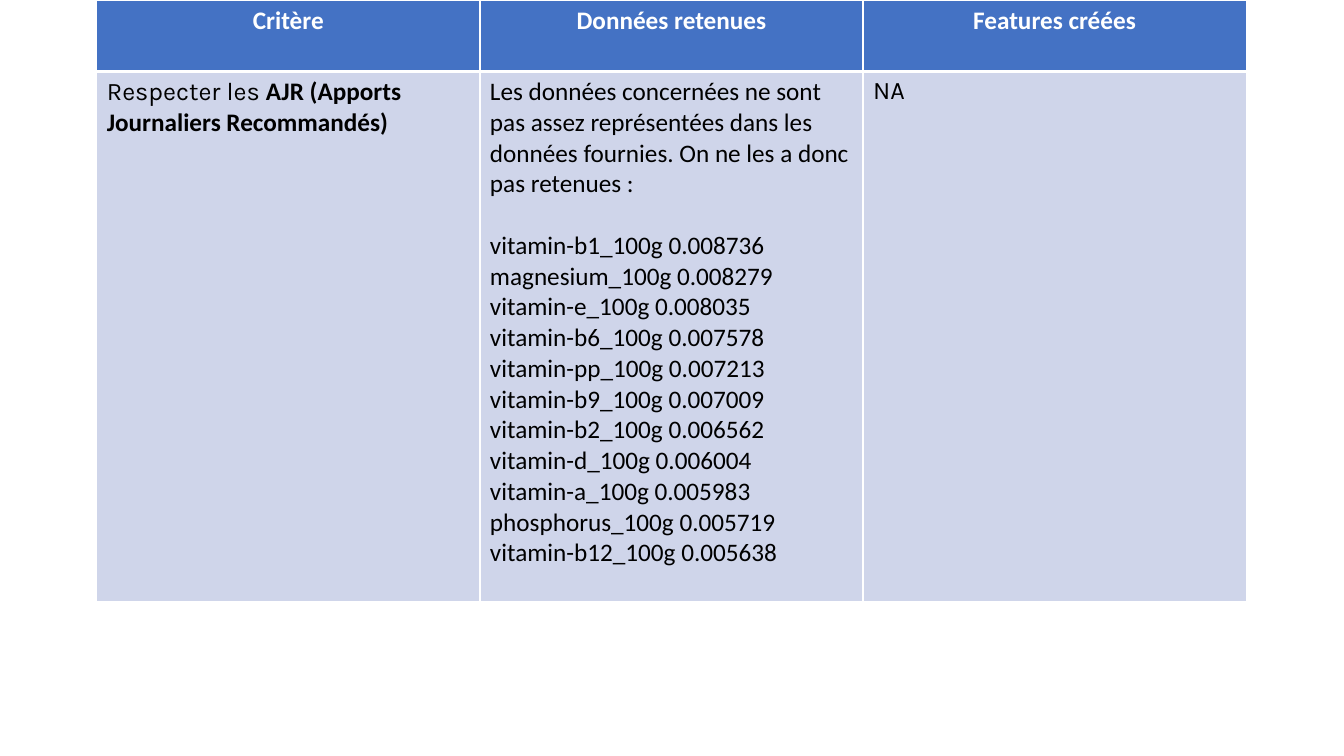
import lxml.etree
import pptx
import pptx.dml.color
import pptx.enum.text
import pptx.oxml.ns
import pptx.util

PX = 9144  # 100 px to the inch
WHITE, BLACK, HEADER_BLUE, ROW_BLUE = "FFFFFF", "000000", "4472C4", "CFD5EA"


def add_text(paragraph, text, font="Calibri", size=18, color=BLACK, bold=False):
    run = paragraph.add_run()
    run.text = text
    run.font.name = font
    run.font.size = pptx.util.Pt(size)
    run.font.bold = bold
    run.font.color.rgb = pptx.dml.color.RGBColor.from_string(color)


def style_cell(cell, fill, top=1, bottom=1):
    """Draw the white borders of a cell, then fill it."""
    properties = cell._tc.get_or_add_tcPr()
    for side, points in (("L", 1), ("R", 1), ("T", top), ("B", bottom)):
        border = lxml.etree.SubElement(
            properties, pptx.oxml.ns.qn(f"a:ln{side}"), w=str(pptx.util.Pt(points)))
        solid = lxml.etree.SubElement(border, pptx.oxml.ns.qn("a:solidFill"))
        lxml.etree.SubElement(solid, pptx.oxml.ns.qn("a:srgbClr"), val=WHITE)
    cell.fill.solid()
    cell.fill.fore_color.rgb = pptx.dml.color.RGBColor.from_string(fill)


# Slide
presentation = pptx.Presentation()
presentation.slide_width = 1333 * PX
presentation.slide_height = 750 * PX
slide = presentation.slides.add_slide(presentation.slide_layouts[6])

# Criteria table
headings = ["Critère", "Données retenues", "Features créées"]
row_heights = [71, 526]
criteria = slide.shapes.add_table(
    2, len(headings), 96 * PX, 0, 1140 * PX, sum(row_heights) * PX).table
for row, height in zip(criteria.rows, row_heights):
    row.height = height * PX

for column, heading in enumerate(headings):
    criteria.columns[column].width = 380 * PX
    header = criteria.cell(0, column)
    style_cell(header, HEADER_BLUE, bottom=3)
    style_cell(criteria.cell(1, column), ROW_BLUE, top=3)
    title = header.text_frame.paragraphs[0]
    title.alignment = pptx.enum.text.PP_ALIGN.CENTER
    add_text(title, heading, color=WHITE, bold=True)

# Criterion
criterion = criteria.cell(1, 0).text_frame.paragraphs[0]
add_text(criterion, "Respecter les ", font="Karla")
add_text(criterion, "AJR (Apports Journaliers Recommandés)", bold=True)

# Data left out, with their fill rates
fill_rates = [
    ("vitamin-b1", "0.008736"),
    ("magnesium", "0.008279"),
    ("vitamin-e", "0.008035"),
    ("vitamin-b6", "0.007578"),
    ("vitamin-pp", "0.007213"),
    ("vitamin-b9", "0.007009"),
    ("vitamin-b2", "0.006562"),
    ("vitamin-d", "0.006004"),
    ("vitamin-a", "0.005983"),
    ("phosphorus", "0.005719"),
    ("vitamin-b12", "0.005638"),
]
data = criteria.cell(1, 1).text_frame
add_text(data.paragraphs[0],
         "Les données concernées ne sont pas assez représentées dans les "
         "données fournies. On ne les a donc pas retenues :")
for index, (nutrient, rate) in enumerate(fill_rates):
    entry = data.add_paragraph()
    if index == 0:
        entry.space_before = pptx.util.Pt(22)
    add_text(entry, f"{nutrient}_100g {rate}")

# Features
add_text(criteria.cell(1, 2).text_frame.paragraphs[0], "NA", font="Karla")

presentation.save("out.pptx")
